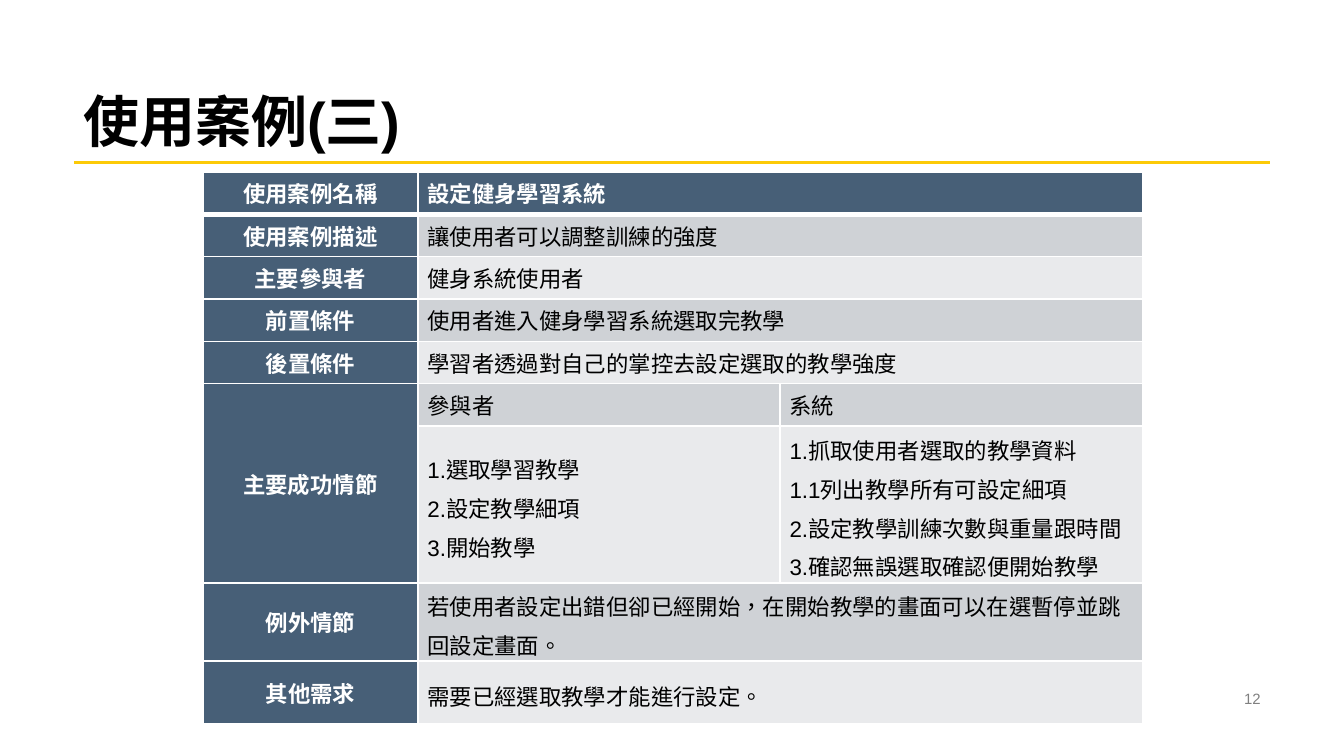
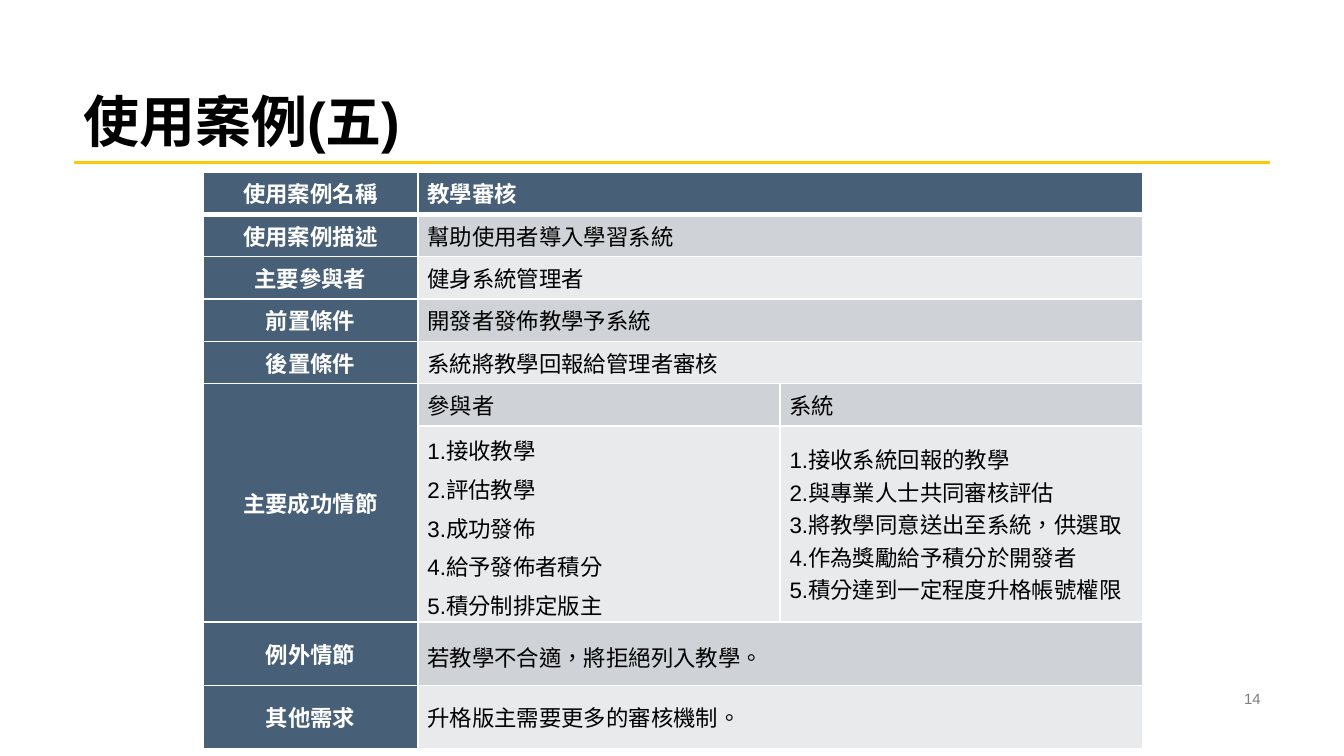
from dataclasses import dataclass

from lxml import etree
from pptx import Presentation
from pptx.dml.color import RGBColor
from pptx.enum.lang import MSO_LANGUAGE_ID
from pptx.enum.shapes import MSO_CONNECTOR
from pptx.enum.text import MSO_ANCHOR, PP_ALIGN
from pptx.oxml.ns import qn
from pptx.util import Inches, Pt

LEFT, CENTER, RIGHT = PP_ALIGN.LEFT, PP_ALIGN.CENTER, PP_ALIGN.RIGHT
MIDDLE, BOTTOM = MSO_ANCHOR.MIDDLE, MSO_ANCHOR.BOTTOM
STRAIGHT = MSO_CONNECTOR.STRAIGHT
CHINESE = MSO_LANGUAGE_ID.TRADITIONAL_CHINESE

# Content: one dict per use case; loose text has wider line spacing
LABELS = ["使用案例名稱", "使用案例描述", "主要參與者", "前置條件", "後置條件",
          "主要成功情節", "例外情節", "其他需求"]
ROLES = ["參與者", "系統"]
SINGLE, LOOSE = 1.0, 1.2

USE_CASES = [
    {
        "title": "使用案例(三)",
        "page": "12",
        "lower_heights": [1.17, 0.58, 0.47],
        "summary": ["設定健身學習系統", "讓使用者可以調整訓練的強度", "健身系統使用者",
                    "使用者進入健身學習系統選取完教學",
                    "學習者透過對自己的掌控去設定選取的教學強度"],
        "steps": [
            (LOOSE, ["1.選取學習教學", "2.設定教學細項", "3.開始教學"]),
            (LOOSE, ["1.抓取使用者選取的教學資料", "1.1列出教學所有可設定細項",
                     "2.設定教學訓練次數與重量跟時間",
                     "3.確認無誤選取確認便開始教學"]),
        ],
        "closing": [
            (LOOSE, ["若使用者設定出錯但卻已經開始，在開始教學的畫面可以在選暫停並跳回設定畫面。"]),
            (LOOSE, ["需要已經選取教學才能進行設定。"]),
        ],
    },
    {
        "title": "使用案例(五)",
        "page": "14",
        "lower_heights": [1.46, 0.47, 0.47],
        "summary": ["教學審核", "幫助使用者導入學習系統", "健身系統管理者",
                    "開發者發佈教學予系統", "系統將教學回報給管理者審核"],
        "steps": [
            (LOOSE, ["1.接收教學", "2.評估教學", "3.成功發佈", "4.給予發佈者積分",
                     "5.積分制排定版主"]),
            (SINGLE, ["1.接收系統回報的教學", "2.與專業人士共同審核評估",
                      "3.將教學同意送出至系統，供選取", "4.作為獎勵給予積分於開發者",
                      "5.積分達到一定程度升格帳號權限"]),
        ],
        "closing": [
            (LOOSE, ["若教學不合適，將拒絕列入教學。"]),
            (SINGLE, ["升格版主需要更多的審核機制。"]),
        ],
    },
]


@dataclass(frozen=True)
class Theme:
    font: str = "Arial"
    ink: str = "000000"
    white: str = "FFFFFF"
    accent: str = "FCCA07"
    muted: str = "808080"
    label: str = "475F77"
    bands: tuple = ("E9EAEC", "CFD2D6")
    title_size: int = 30
    table_size: int = 12
    page_size: int = 8


THEME = Theme()

# Layout in inches
MARGIN, CONTENT_WIDTH = 0.55, 8.9
RULE_Y = 1.21
INSET_X, INSET_Y = 0.07, 0.04
TABLE_LEFT, TABLE_TOP, TABLE_WIDTH = 1.51, 1.28, 6.99
LABEL_WIDTH = 1.6
COLUMN_WIDTHS = [LABEL_WIDTH] + [(TABLE_WIDTH - LABEL_WIDTH) / 2] * 2
UPPER_HEIGHTS = [1.89 / 6] * 6
ROLE_ROW, STEP_ROW = 5, 6


def write(frame, lines, size, color, bold=False, align=LEFT, spacing=None):
    for index, line in enumerate(lines):
        paragraph = frame.paragraphs[0] if index == 0 else frame.add_paragraph()
        paragraph.alignment = align
        if spacing:
            paragraph.line_spacing = spacing
        run = paragraph.add_run()
        run.text = line
        font = run.font
        font.name, font.size, font.bold = THEME.font, Pt(size), bold
        font.color.rgb = RGBColor.from_string(color)
        font.language_id = CHINESE


def set_margins(box, horizontal, vertical):
    box.margin_left = box.margin_right = Inches(horizontal)
    box.margin_top = box.margin_bottom = Inches(vertical)


def add_header(slide, title_text):
    title = slide.shapes.title
    title.left, title.top = Inches(MARGIN), Inches(0)
    title.width, title.height = Inches(CONTENT_WIDTH), Inches(1.19)
    frame = title.text_frame
    frame.vertical_anchor = BOTTOM
    set_margins(frame, INSET_X, INSET_Y)
    write(frame, [title_text], THEME.title_size, THEME.ink, True, spacing=0.9)

    rule = slide.shapes.add_connector(
        STRAIGHT, Inches(MARGIN), Inches(RULE_Y),
        Inches(MARGIN + CONTENT_WIDTH), Inches(RULE_Y))
    rule.line.color.rgb = RGBColor.from_string(THEME.accent)
    rule.line.width = Pt(1.5)
    etree.SubElement(rule.element.spPr, qn("a:effectLst"))


def add_page_number(slide, number):
    page = slide.shapes.add_textbox(Inches(7.06), Inches(5.11), Inches(2.39), Inches(0.17))
    frame = page.text_frame
    frame.word_wrap = True
    frame.vertical_anchor = MIDDLE
    set_margins(frame, INSET_X, INSET_Y)
    write(frame, [number], THEME.page_size, THEME.muted, align=RIGHT)


def style_cell(cell, row, column):
    """White borders, thicker under the heading row, then the band fill."""
    cell.vertical_anchor = MIDDLE
    set_margins(cell, INSET_X, 0)
    properties = cell._tc.get_or_add_tcPr()
    for side in "LRTB":
        thick = (row, side) in ((0, "B"), (1, "T"))
        border = etree.SubElement(properties, qn(f"a:ln{side}"), w=str(Pt(3 if thick else 1)))
        fill = etree.SubElement(border, qn("a:solidFill"))
        etree.SubElement(fill, qn("a:srgbClr"), val=THEME.white)
    cell.fill.solid()
    dark = row == 0 or column == 0
    cell.fill.fore_color.rgb = RGBColor.from_string(
        THEME.label if dark else THEME.bands[row % 2])


def add_use_case_table(slide, case):
    heights = UPPER_HEIGHTS + case["lower_heights"]
    table = slide.shapes.add_table(
        len(heights), len(COLUMN_WIDTHS), Inches(TABLE_LEFT), Inches(TABLE_TOP),
        Inches(TABLE_WIDTH), Inches(sum(heights))).table
    for column, width in zip(table.columns, COLUMN_WIDTHS):
        column.width = Inches(width)
    for row, height in zip(table.rows, heights):
        row.height = Inches(height)

    # Each row holds one wide value or one value per role
    values = [[(None, [text])] for text in case["summary"]]
    values.append([(None, [role]) for role in ROLES])
    values.append(case["steps"])
    values += [[entry] for entry in case["closing"]]
    labels = LABELS[:STEP_ROW] + [None] + LABELS[STEP_ROW:]

    for row, (label, entries) in enumerate(zip(labels, values)):
        for column in range(len(COLUMN_WIDTHS)):
            style_cell(table.cell(row, column), row, column)
        if len(entries) == 1:
            table.cell(row, 1).merge(table.cell(row, 2))
        if label:
            write(table.cell(row, 0).text_frame, [label], THEME.table_size,
                  THEME.white, True, CENTER)
        heading = row == 0
        for column, (spacing, lines) in enumerate(entries, 1):
            write(table.cell(row, column).text_frame, lines, THEME.table_size,
                  THEME.white if heading else THEME.ink, heading, spacing=spacing)
    table.cell(ROLE_ROW, 0).merge(table.cell(STEP_ROW, 0))


def main():
    deck = Presentation()
    deck.slide_width = Inches(10)
    deck.slide_height = deck.slide_width * 9 // 16
    title_only = deck.slide_layouts.get_by_name("Title Only")
    for case in USE_CASES:
        slide = deck.slides.add_slide(title_only)
        add_header(slide, case["title"])
        add_page_number(slide, case["page"])
        add_use_case_table(slide, case)
    deck.save("out.pptx")


if __name__ == "__main__":
    main()
